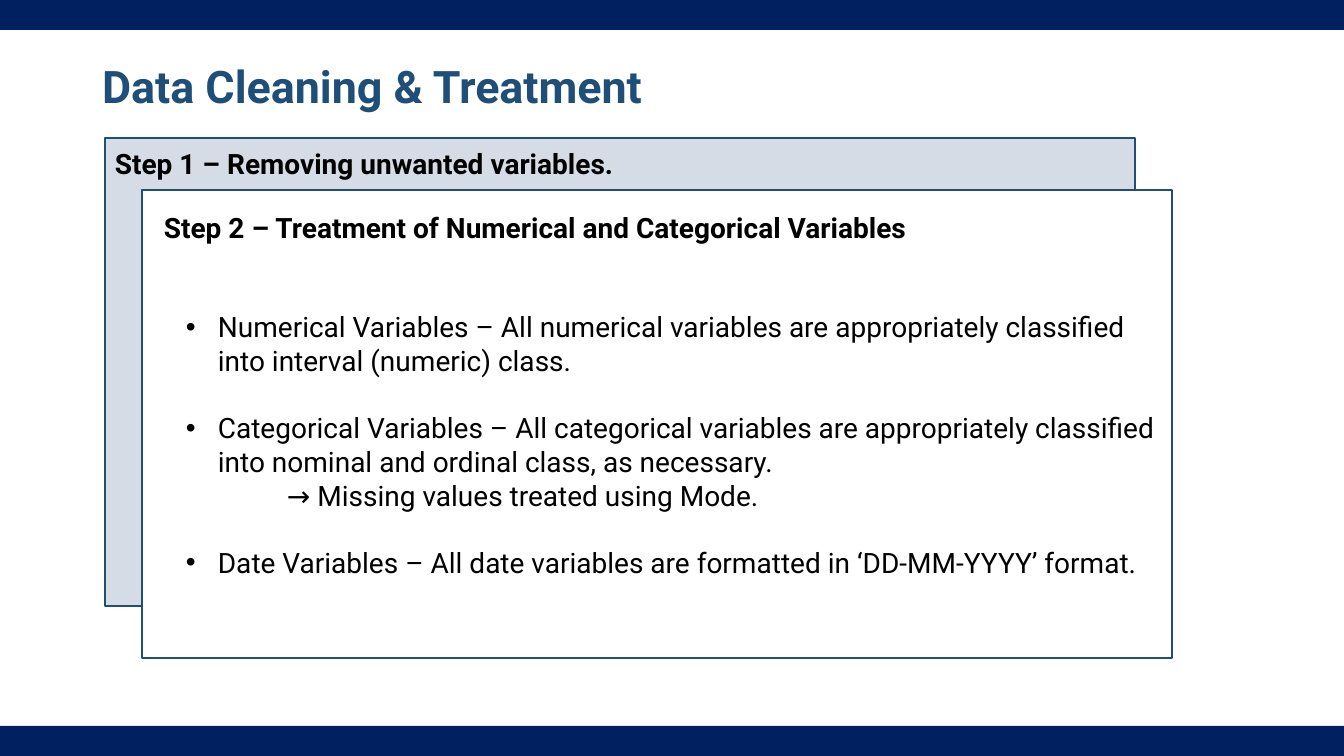
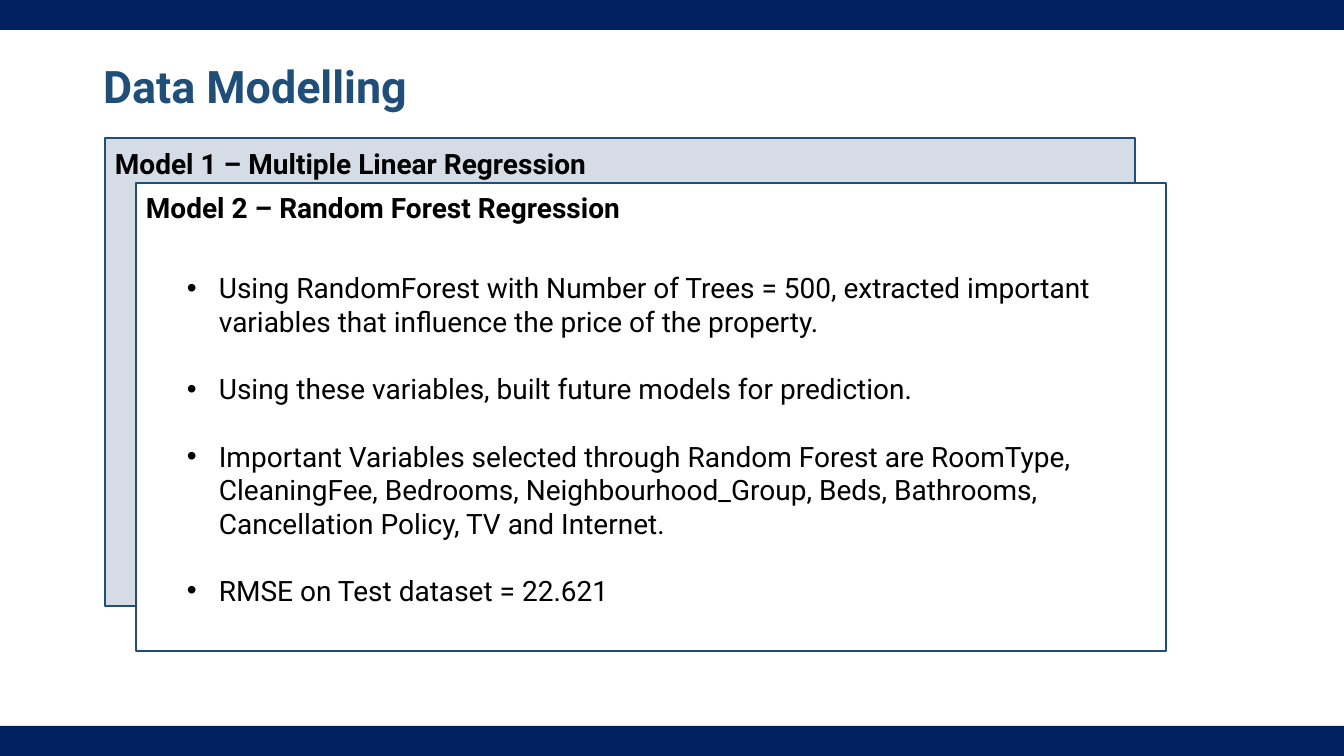
"""Build two slides of overlapping panels on data cleaning and data modelling."""
from dataclasses import dataclass
from typing import Any

import lxml.etree
import pptx
import pptx.dml.color
import pptx.enum.shapes
import pptx.enum.text
import pptx.oxml.ns
import pptx.util

PAGE_WIDTH, PAGE_HEIGHT = 1344, 756
EMU_PER_PX = 12192000 / PAGE_WIDTH
BAND_HEIGHT = 30
PANEL_WIDTH, PANEL_HEIGHT = 1030, 468
BACK_LEFT, BACK_TOP = 105, 138
HEADING_HEIGHT = 44
BULLET_INDENT = 32
SUB_INDENT = 101

NAVY = pptx.dml.color.RGBColor(0x00, 0x20, 0x60)
BLUE = pptx.dml.color.RGBColor(0x1F, 0x4E, 0x79)
MIST = pptx.dml.color.RGBColor(0xD6, 0xDC, 0xE5)
WHITE = pptx.dml.color.RGBColor(0xFF, 0xFF, 0xFF)
BLACK = pptx.dml.color.RGBColor(0x00, 0x00, 0x00)

TITLE_FONT = {"name": "Roboto", "size": pptx.util.Pt(32), "bold": True}
HEADING_FONT = {"name": "Roboto", "size": pptx.util.Pt(20), "bold": True}
BODY_FONT = {"name": "Roboto", "size": pptx.util.Pt(20), "bold": False}
TITLE_PARAGRAPH = {"alignment": pptx.enum.text.PP_ALIGN.LEFT, "line_spacing": 0.9}
TITLE_FRAME = {
    "word_wrap": True,
    "auto_size": pptx.enum.text.MSO_AUTO_SIZE.NONE,
    "vertical_anchor": pptx.enum.text.MSO_ANCHOR.MIDDLE,
}


@dataclass(frozen=True)
class Box:
    left: int
    top: int
    width: int
    height: int

    def emu(self) -> tuple[int, ...]:
        return tuple(px(side) for side in (self.left, self.top, self.width, self.height))


@dataclass(frozen=True)
class Heading:
    text: str
    box: Box


@dataclass(frozen=True)
class Item:
    text: str
    bulleted: bool = True


@dataclass(frozen=True)
class Topic:
    title: str
    title_left: int
    front_left: int
    front_top: int
    headings: tuple[Heading, ...]
    body: Box
    items: tuple[Item, ...]


TOPICS = (
    Topic(
        "Data Cleaning & Treatment", 92, 142, 190,
        (
            Heading("Step 1 – Removing unwanted variables.", Box(105, 142, 537, HEADING_HEIGHT)),
            Heading("Step 2 – Treatment of Numerical and Categorical Variables",
                    Box(154, 206, 787, HEADING_HEIGHT)),
        ),
        Box(176, 305, 991, 281),
        (
            Item("Numerical Variables – All numerical variables are appropriately "
                 "classified into interval (numeric) class."),
            Item("Categorical Variables – All categorical variables are appropriately "
                 "classified into nominal and ordinal class, as necessary."),
            Item("→ Missing values treated using Mode.", bulleted=False),
            Item("Date Variables – All date variables are formatted in ‘DD-MM-YYYY’ format."),
        ),
    ),
    Topic(
        "Data Modelling", 93, 136, 183,
        (
            Heading("Model 1 – Multiple Linear Regression", Box(105, 142, 500, HEADING_HEIGHT)),
            Heading("Model 2 – Random Forest Regression", Box(136, 186, 498, HEADING_HEIGHT)),
        ),
        Box(177, 266, 931, 350),
        (
            Item("Using RandomForest with Number of Trees = 500, extracted important "
                 "variables that influence the price of the property."),
            Item("Using these variables, built future models for prediction."),
            Item("Important Variables selected through Random Forest are RoomType, "
                 "CleaningFee, Bedrooms, Neighbourhood_Group, Beds, Bathrooms, "
                 "Cancellation Policy, TV and Internet."),
            Item("RMSE on Test dataset = 22.621"),
        ),
    ),
)


def px(length: int) -> int:
    return round(length * EMU_PER_PX)


def assign(target: Any, values: dict[str, Any]) -> None:
    for name, value in values.items():
        setattr(target, name, value)


def style_font(font: Any, values: dict[str, Any], color: pptx.dml.color.RGBColor) -> None:
    assign(font, values)
    font.color.rgb = color


def add_rectangle(page: Any, box: Box, fill: pptx.dml.color.RGBColor,
                  line: pptx.dml.color.RGBColor | None = None) -> Any:
    shape = page.shapes.add_shape(pptx.enum.shapes.MSO_SHAPE.RECTANGLE, *box.emu())
    shape.shadow.inherit = False
    shape.fill.solid()
    shape.fill.fore_color.rgb = fill
    if line is None:
        shape.line.fill.background()
    else:
        shape.line.color.rgb = line
        shape.line.width = pptx.util.Pt(1.5)
    return shape


def move_bands_to_master(deck: Any, page: Any) -> None:
    tree = deck.slide_master.element.cSld.spTree
    for number, top in enumerate((0, PAGE_HEIGHT - BAND_HEIGHT)):
        band = add_rectangle(page, Box(0, top, PAGE_WIDTH, BAND_HEIGHT), NAVY)
        band.element.nvSpPr.cNvPr.set("id", str(101 + number))
        tree.insert(2 + number, band.element)


def set_title(page: Any, topic: Topic) -> None:
    title = page.shapes.title
    box = Box(topic.title_left, 40, 1159, 98)
    assign(title, dict(zip(("left", "top", "width", "height"), box.emu())))
    frame = title.text_frame
    assign(frame, TITLE_FRAME)
    frame.text = topic.title
    para = frame.paragraphs[0]
    assign(para, TITLE_PARAGRAPH)
    style_font(para.runs[0].font, TITLE_FONT, BLUE)


def add_text_frame(page: Any, box: Box, wrap: bool) -> Any:
    frame = page.shapes.add_textbox(*box.emu()).text_frame
    assign(frame, {"word_wrap": wrap,
                   "auto_size": pptx.enum.text.MSO_AUTO_SIZE.SHAPE_TO_FIT_TEXT})
    return frame


def add_heading(page: Any, heading: Heading) -> None:
    para = add_text_frame(page, heading.box, False).paragraphs[0]
    para.text = heading.text
    style_font(para.runs[0].font, HEADING_FONT, BLACK)


def indent_item(para: Any, bulleted: bool) -> None:
    properties = para._p.get_or_add_pPr()
    properties.set("marL", str(px(BULLET_INDENT if bulleted else SUB_INDENT)))
    properties.set("indent", str(-px(BULLET_INDENT) if bulleted else 0))
    if bulleted:
        for tag, name, value in (("a:buFont", "typeface", "Arial"), ("a:buChar", "char", "•")):
            mark = lxml.etree.SubElement(properties, pptx.oxml.ns.qn(tag))
            mark.set(name, value)


def add_items(page: Any, topic: Topic) -> None:
    frame = add_text_frame(page, topic.body, True)
    for number, item in enumerate(topic.items):
        para = frame.add_paragraph() if number else frame.paragraphs[0]
        para.text = item.text
        indent_item(para, item.bulleted)
        if number and item.bulleted:
            para.space_before = pptx.util.Pt(24)
        style_font(para.runs[0].font, BODY_FONT, BLACK)


def fill_page(page: Any, topic: Topic) -> None:
    set_title(page, topic)
    for left, top, fill in ((BACK_LEFT, BACK_TOP, MIST),
                            (topic.front_left, topic.front_top, WHITE)):
        add_rectangle(page, Box(left, top, PANEL_WIDTH, PANEL_HEIGHT), fill, BLUE)
    for heading in topic.headings:
        add_heading(page, heading)
    add_items(page, topic)


def main() -> None:
    deck = pptx.Presentation()
    deck.slide_width, deck.slide_height = px(PAGE_WIDTH), px(PAGE_HEIGHT)
    title_only = deck.slide_layouts[5]
    pages = [deck.slides.add_slide(title_only) for _ in TOPICS]
    move_bands_to_master(deck, pages[0])
    for page, topic in zip(pages, TOPICS):
        fill_page(page, topic)
    deck.save("out.pptx")


if __name__ == "__main__":
    main()
